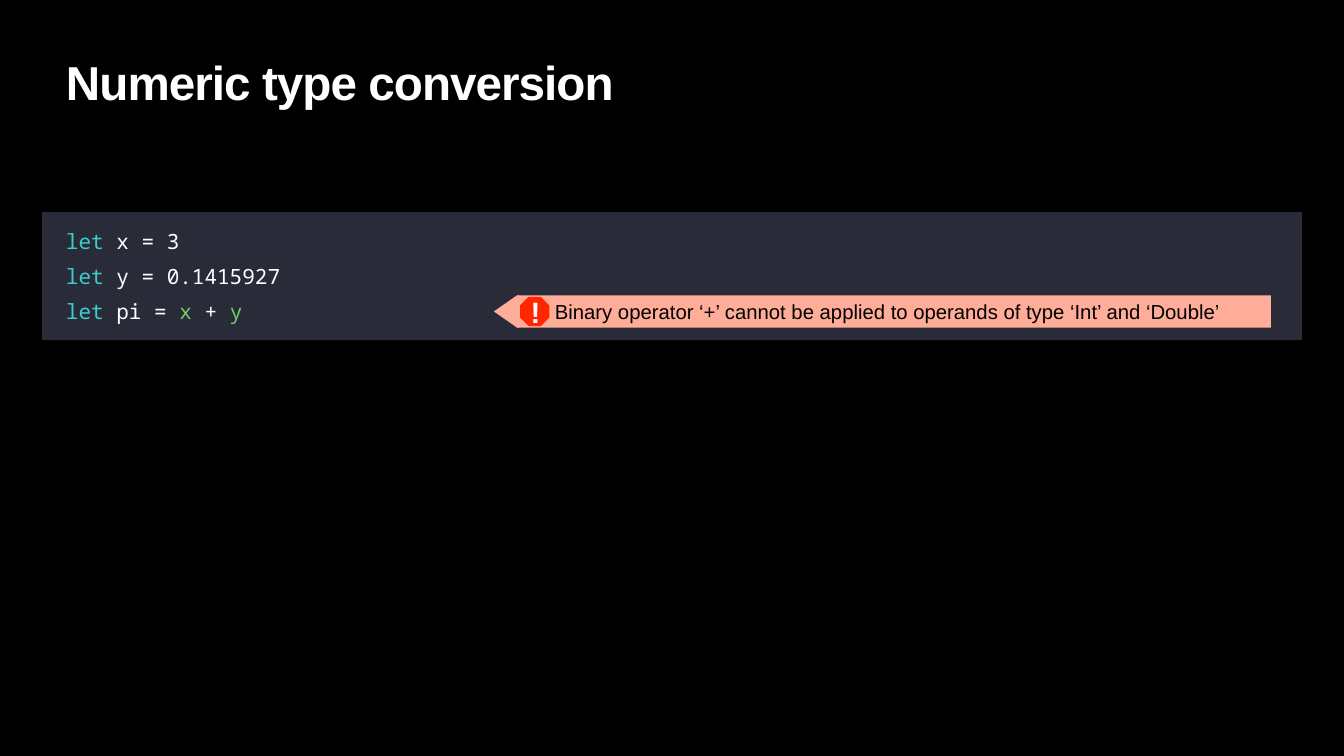
import pptx
import pptx.util
from pptx.dml.color import RGBColor
from pptx.enum.shapes import MSO_SHAPE
from pptx.enum.text import MSO_ANCHOR, PP_ALIGN

WIDTH, HEIGHT = 26.67, 15
WHITE, BLACK, TEAL, GREEN = "FFFFFF", "000000", "3DCCCC", "6CCE66"
PANEL, SALMON, RED = "292B38", "FFAD99", "FF2600"

TITLE = "Numeric type conversion"
CODE = [
    [("let", TEAL), (" x = 3", WHITE)],
    [("let", TEAL), (" y = 0.1415927", WHITE)],
    [("let", TEAL), (" pi = ", WHITE), ("x", GREEN), (" + ", WHITE), ("y", GREEN)],
]
ERROR = "Binary operator ‘+’ cannot be applied to operands of type ‘Int’ and ‘Double’"

# Shared edges of the layout, in inches
MARGIN = 1.25
TEXT_WIDTH = WIDTH - 2 * MARGIN
PANEL_LEFT, PANEL_TOP, PANEL_HEIGHT = 0.83, 4.21, 2.54
BANNER_TIP, BANNER_LEFT, BANNER_RIGHT = 9.8, 10.26, 25.22
BANNER_MIDDLE, BANNER_HEIGHT = 6.18, 0.64
BADGE_CENTRE, BADGE_SIZE = 10.61, 0.58


def inches(*lengths):
    return [pptx.util.Inches(length) for length in lengths]


def colour(code):
    return RGBColor.from_string(code)


def paint(shape, fill):
    shape.shadow.inherit = False
    shape.fill.solid()
    shape.fill.fore_color.rgb = colour(fill)
    shape.line.fill.background()


def add_block(shapes, preset, fill, *place):
    block = shapes.add_shape(preset, *inches(*place))
    paint(block, fill)
    return block


def add_text(shapes, lines, *place, size, font="Arial", bold=False, inset=0,
             leading=None, tracking=None, anchor=MSO_ANCHOR.MIDDLE,
             align=PP_ALIGN.LEFT, wrap=True):
    """Add a text box; each line is a list of (text, colour) spans."""
    box = shapes.add_textbox(*inches(*place))
    frame = box.text_frame
    frame.word_wrap = wrap
    frame.vertical_anchor = anchor
    frame.margin_left = frame.margin_right = pptx.util.Inches(inset)
    frame.margin_top = frame.margin_bottom = pptx.util.Inches(inset)
    for index, line in enumerate(lines):
        para = frame.add_paragraph() if index else frame.paragraphs[0]
        para.alignment = align
        if leading:
            para.line_spacing = pptx.util.Pt(leading)
        for text, code in line:
            span = para.add_run()
            span.text = text
            span.font.name = font
            span.font.size = pptx.util.Pt(size)
            span.font.bold = bold
            span.font.color.rgb = colour(code)
            if tracking:
                span._r.get_or_add_rPr().set("spc", str(round(tracking * 100)))
    return box


def add_error_banner(page):
    shapes = page.shapes.add_group_shape().shapes
    top = BANNER_MIDDLE - BANNER_HEIGHT / 2
    bottom = top + BANNER_HEIGHT
    add_block(shapes, MSO_SHAPE.RECTANGLE, SALMON,
              BANNER_LEFT, top, BANNER_RIGHT - BANNER_LEFT, BANNER_HEIGHT)

    overlap = BANNER_LEFT + 0.04
    outline = [(BANNER_LEFT, top), (BANNER_TIP, BANNER_MIDDLE),
               (BANNER_LEFT, bottom), (overlap, bottom), (overlap, top)]
    points = [inches(*point) for point in outline]
    builder = shapes.build_freeform(*points[0])
    builder.add_line_segments(points[1:], close=True)
    paint(builder.convert_to_shape(), SALMON)

    add_text(shapes, [[(ERROR, BLACK)]], 11.01, BANNER_MIDDLE - 0.26, 14.24, 0.52,
             size=29)
    add_block(shapes, MSO_SHAPE.OCTAGON, RED, BADGE_CENTRE - BADGE_SIZE / 2,
              BANNER_MIDDLE - BADGE_SIZE / 2, BADGE_SIZE, BADGE_SIZE)
    add_text(shapes, [[("!", WHITE)]], BADGE_CENTRE - 0.08, BANNER_MIDDLE - 0.35, 0.17, 0.7,
             size=42, bold=True, align=PP_ALIGN.CENTER, wrap=False)


def main():
    deck = pptx.Presentation()
    deck.slide_width, deck.slide_height = inches(WIDTH, HEIGHT)
    page = deck.slides.add_slide(deck.slide_layouts[6])
    page.background.fill.solid()
    page.background.fill.fore_color.rgb = colour(BLACK)

    add_block(page.shapes, MSO_SHAPE.RECTANGLE, PANEL,
              PANEL_LEFT, PANEL_TOP, WIDTH - 2 * PANEL_LEFT, PANEL_HEIGHT)
    add_text(page.shapes, [[(TITLE, WHITE)]], MARGIN, 0, TEXT_WIDTH, HEIGHT * 0.15,
             size=68, bold=True, inset=0.06, leading=73, tracking=-1.4,
             anchor=MSO_ANCHOR.BOTTOM)
    add_text(page.shapes, CODE, MARGIN, 4.28, TEXT_WIDTH, 9.97,
             size=30, font="Noto Sans Mono", inset=0.06, leading=50,
             anchor=MSO_ANCHOR.TOP)
    add_error_banner(page)
    deck.save("out.pptx")


if __name__ == "__main__":
    main()
